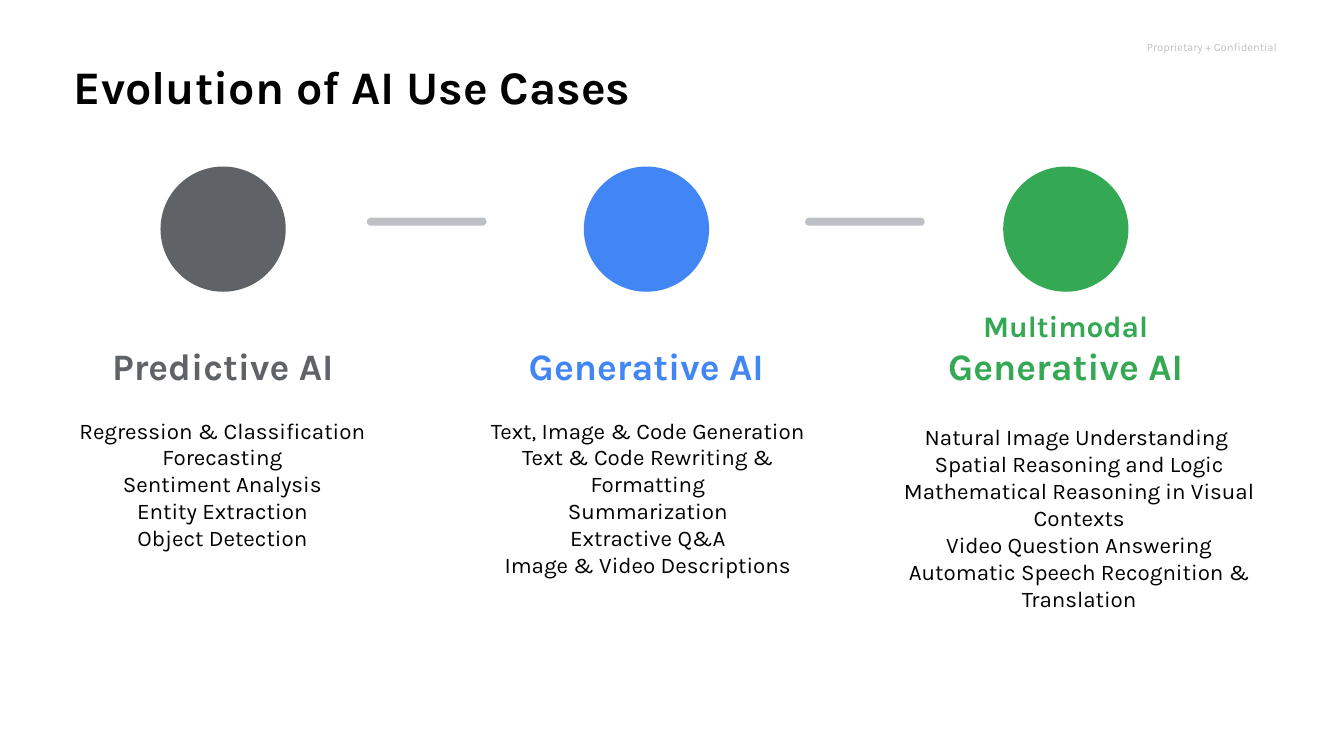
import pptx
import pptx.util
import pptx.dml.color
import pptx.enum.shapes
import pptx.enum.text
import pptx.oxml

Pt = pptx.util.Pt
Align = pptx.enum.text.PP_ALIGN
Anchor = pptx.enum.text.MSO_ANCHOR
Shape = pptx.enum.shapes.MSO_SHAPE
COLORS = {"black": "000000", "light": "BDC1C6", "gray": "5F6368",
          "blue": "4285F4", "green": "34A853"}
RGB = {key: pptx.dml.color.RGBColor.from_string(value) for key, value in COLORS.items()}

deck = pptx.Presentation()
deck.slide_width = pptx.util.Inches(10)
deck.slide_height = deck.slide_width * 9 // 16
ROW = COLUMN = deck.slide_width / 10


def box(left, top, width, height):
    return [round(left * COLUMN), round(top * ROW), round(width * COLUMN), round(height * ROW)]


def write(holder, area, lines, sizes, color, align, anchor=Anchor.TOP,
          bold=False, spacing=1.0, insets=(0.1, 0.1, 0.1, 0.1)):
    holder.left, holder.top, holder.width, holder.height = box(*area)
    frame = holder.text_frame
    frame.text = "\n".join(lines)
    frame.word_wrap = True
    frame.auto_size = pptx.enum.text.MSO_AUTO_SIZE.NONE
    frame.vertical_anchor = anchor
    (frame.margin_left, frame.margin_top,
     frame.margin_right, frame.margin_bottom) = map(pptx.util.Inches, insets)
    for paragraph, size in zip(frame.paragraphs, sizes):
        paragraph.alignment = align
        paragraph.line_spacing = spacing
        paragraph.space_before = paragraph.space_after = Pt(0)
        properties = paragraph._p.get_or_add_pPr()
        properties.set("marL", "0")
        properties.set("indent", "0")
        properties.append(pptx.oxml.parse_xml(
            '<a:buNone xmlns:a="http://schemas.openxmlformats.org/drawingml/2006/main"/>'))
        for run in paragraph.runs:
            run.font.name = "Karla"
            run.font.size = Pt(size)
            run.font.bold = bold
            run.font.color.rgb = RGB[color]


slide = deck.slides.add_slide(deck.slide_layouts.get_by_name("Comparison"))
bodies = [item for item in slide.placeholders if item.placeholder_format.idx in (1, 2, 3, 4)]
spare = bodies.pop(0)
spare.element.getparent().remove(spare.element)

write(slide.shapes.add_textbox(0, 0, 0, 0), (8.47, 0.3, 1.03, 0.2),
      ["Proprietary + Confidential"], [6], "light", Align.RIGHT, insets=(0, 0, 0, 0))
write(slide.shapes.title, (0.55, 0.37, 9.11, 0.63), ["Evolution of AI Use Cases"], [25],
      "black", Align.LEFT, bold=True, spacing=1.15, insets=(0, 0, 0.1, 0))

stages = [
    (1.66, "gray", ["Predictive AI"], [20], 1.15, (0.34, 3, 2.63, 1.11),
     ["Regression & Classification", "Forecasting", "Sentiment Analysis",
      "Entity Extraction", "Object Detection"]),
    (4.81, "blue", ["Generative AI"], [20], 1.15, (3.37, 3, 2.9, 1.11),
     ["Text, Image & Code Generation", "Text & Code Rewriting & Formatting",
      "Summarization", "Extractive Q&A", "Image & Video Descriptions"]),
    (7.93, "green", ["Multimodal", "Generative AI"], [16, 20], 1.0, (6.27, 3.05, 3.52, 1.06),
     ["Natural Image Understanding ", "Spatial Reasoning and Logic",
      "Mathematical Reasoning in Visual Contexts", "Video Question Answering",
      "Automatic Speech Recognition & Translation"]),
]
DIAMETER, HEADING_WIDTH = 0.89, 2.56
for (center, color, heading, sizes, spacing, area, use_cases), body in zip(stages, bodies):
    circle = slide.shapes.add_shape(
        Shape.OVAL, *box(center - DIAMETER / 2, 1.26, DIAMETER, DIAMETER))
    circle.shadow.inherit = False
    circle.fill.solid()
    circle.fill.fore_color.rgb = RGB[color]
    circle.line.color.rgb = RGB[color]
    circle.line.width = Pt(3)
    write(slide.shapes.add_textbox(0, 0, 0, 0),
          (center - HEADING_WIDTH / 2, 2.32, HEADING_WIDTH, 0.67),
          heading, sizes, color, Align.CENTER, Anchor.BOTTOM, True, spacing)
    write(body, area, use_cases, [12] * len(use_cases), "black", Align.CENTER)

for left in (2.73, 5.99):
    link = slide.shapes.add_shape(Shape.ROUNDED_RECTANGLE, *box(left, 1.62, 0.89, 0.06))
    link.adjustments[0] = 0.5
    link.shadow.inherit = False
    link.fill.solid()
    link.fill.fore_color.rgb = RGB["light"]
    link.line.fill.background()

deck.save("out.pptx")
